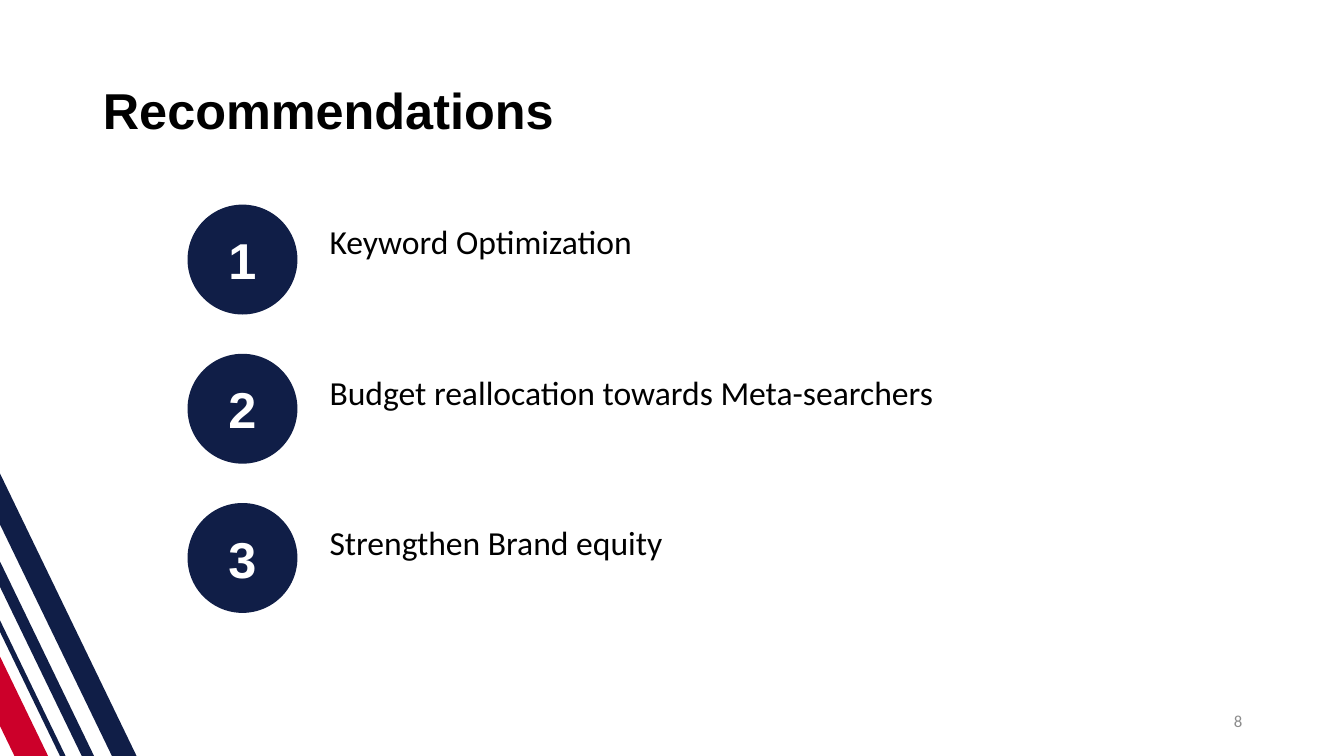
from dataclasses import dataclass

from pptx import Presentation
from pptx.dml.color import RGBColor
from pptx.enum.shapes import MSO_SHAPE
from pptx.enum.text import MSO_ANCHOR, MSO_AUTO_SIZE, PP_ALIGN
from pptx.util import Inches, Pt


@dataclass(frozen=True)
class Theme:
    navy: RGBColor = RGBColor(0x10, 0x1E, 0x47)
    red: RGBColor = RGBColor(0xCC, 0x00, 0x2A)
    black: RGBColor = RGBColor(0, 0, 0)
    white: RGBColor = RGBColor(0xFF, 0xFF, 0xFF)
    gray: RGBColor = RGBColor(0x8C, 0x8C, 0x8C)
    heading_font: str = "Arial"
    body_font: str = "Calibri"
    heading_size: Pt = Pt(36)
    body_size: Pt = Pt(24)
    number_size: Pt = Pt(12)


theme = Theme()


def add_solid(preset, left, top, width, height, color):
    shape = slide.shapes.add_shape(
        preset, Inches(left), Inches(top), Inches(width), Inches(height))
    shape.shadow.inherit = False
    shape.fill.solid()
    shape.fill.fore_color.rgb = color
    shape.line.fill.background()
    return shape


def format_text(para, font_name, size, color, align=PP_ALIGN.LEFT, bold=False):
    para.alignment = align
    for span in para.runs:
        span.font.name = font_name
        span.font.size = size
        span.font.color.rgb = color
        span.font.bold = bold


deck = Presentation()
deck.slide_width = Inches(13.33)
deck.slide_height = Inches(7.5)
slide = deck.slides.add_slide(deck.slide_layouts[5])
slide.background.fill.solid()
slide.background.fill.fore_color.rgb = theme.white

# Slanted stripes in the lower left corner
stripes = [
    (-0.41, 4.03, 0.3, 4.58, theme.red),
    (-0.05, 3.06, 0.05, 6.2, theme.navy),
    (0, 2.71, 0.11, 6.2, theme.navy),
    (0.25, 2.49, 0.22, 6.41, theme.navy),
]
for left, top, width, height, color in stripes:
    stripe = add_solid(MSO_SHAPE.ROUNDED_RECTANGLE, left, top, width, height, color)
    stripe.adjustments[0] = 0.5
    stripe.rotation = 334.2

# Title
title = slide.shapes.title
title.left, title.top = Inches(0.92), Inches(0.4)
title.width, title.height = Inches(11.5), Inches(1.45)
title.text_frame.text = "Recommendations"
title.text_frame.auto_size = MSO_AUTO_SIZE.NONE
title.text_frame.vertical_anchor = MSO_ANCHOR.MIDDLE
title_para = title.text_frame.paragraphs[0]
title_para.line_spacing = 0.9
format_text(title_para, theme.heading_font, theme.heading_size, theme.black, bold=True)

# Recommendations, one paragraph beside each numbered circle
recommendations = [
    "Keyword Optimization",
    "Budget reallocation towards Meta-searchers",
    "Strengthen Brand equity",
]
body = slide.shapes.add_textbox(Inches(3.17), Inches(2), Inches(9.24), Inches(4.76))
body.text_frame.word_wrap = True
body.text_frame.vertical_anchor = MSO_ANCHOR.TOP
body.text_frame.margin_top = Inches(0.24)
body.text_frame.text = "\n".join(recommendations)
for index, para in enumerate(body.text_frame.paragraphs):
    para.line_spacing = 0.9
    if index:
        para.space_before = Pt(81.6)
    format_text(para, theme.body_font, theme.body_size, theme.black)

# Numbered circles
for index in range(len(recommendations)):
    circle = add_solid(MSO_SHAPE.OVAL, 1.86, 2.03 + 1.48 * index, 1.09, 1.09, theme.navy)
    circle.text_frame.text = str(index + 1)
    circle.text_frame.vertical_anchor = MSO_ANCHOR.MIDDLE
    format_text(circle.text_frame.paragraphs[0], theme.heading_font,
                theme.heading_size, theme.white, PP_ALIGN.CENTER, bold=True)

# Slide number
number_box = slide.shapes.add_textbox(Inches(9.42), Inches(6.95), Inches(3), Inches(0.4))
number_box.text_frame.word_wrap = True
number_box.text_frame.vertical_anchor = MSO_ANCHOR.MIDDLE
number_box.text_frame.text = "8"
format_text(number_box.text_frame.paragraphs[0], theme.body_font,
            theme.number_size, theme.gray, PP_ALIGN.RIGHT)

deck.save("out.pptx")
